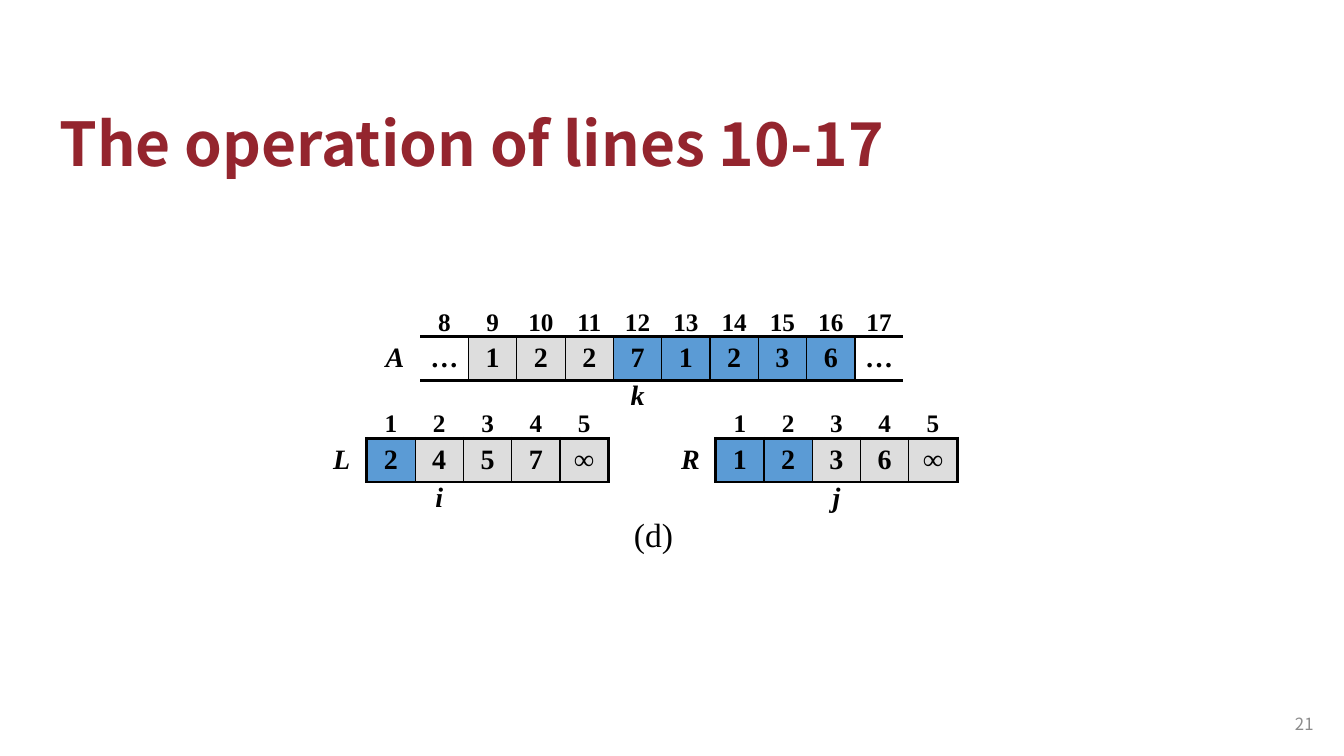
"""Build the slide that shows one merge step on the arrays A, L and R."""
import pptx
import pptx.util
import pptx.dml.color
import pptx.enum.text
import pptx.oxml
import pptx.oxml.ns

Pt = pptx.util.Pt
Align = pptx.enum.text.PP_ALIGN
Anchor = pptx.enum.text.MSO_ANCHOR
Fit = pptx.enum.text.MSO_AUTO_SIZE
SANS, SERIF = "Noto Sans CJK SC", "Times New Roman"
BLUE, GREY = "5B9BD5", "DDDDDD"
THICK, THIN = 2.25, 1
PLAIN = "{2D5ABB26-0587-4C30-8999-92F81FD0307C}"


def tint(code):
    return pptx.dml.color.RGBColor.from_string(code)


def write(frame, text, align, color, form):
    para = frame.paragraphs[0]
    para.alignment = align
    run = para.add_run()
    run.text = text
    for key, value in form.items():
        setattr(run.font, key, value)
    run.font.color.rgb = tint(color)


deck = pptx.Presentation()
deck.slide_width, deck.slide_height = Pt(960), Pt(540)
slide = deck.slides.add_slide(deck.slide_layouts[5])

title = slide.shapes.title
place = {"left": Pt(35.3), "top": Pt(63.4), "width": Pt(607), "height": Pt(68.4)}
for key, value in place.items():
    setattr(title, key, value)
title.text_frame.auto_size = Fit.NONE
title.text_frame.vertical_anchor = Anchor.BOTTOM
title.text_frame.paragraphs[0].line_spacing = 0.9
write(title.text_frame, "The operation of lines 10-17", Align.LEFT, "94252E",
      {"name": SANS, "size": Pt(43.2), "bold": True})

notes = [
    ("21", 902.2, 502.5, 43.2, 28.8, True, Align.RIGHT, "8C8C8C", SANS, 12),
    ("(d)", 445.7, 363.6, 42.5, 36, False, Align.LEFT, "000000", SERIF, 24),
]
for text, left, top, width, height, wrap, align, color, font, size in notes:
    box = slide.shapes.add_textbox(Pt(left), Pt(top), Pt(width), Pt(height))
    box.text_frame.word_wrap = wrap
    box.text_frame.vertical_anchor = Anchor.MIDDLE if wrap else Anchor.TOP
    write(box.text_frame, text, align, color, {"name": font, "size": Pt(size)})

rows = [
    {"size": 18, "anchor": Anchor.BOTTOM, "top": 3.6, "bottom": 0, "height": 28},
    {"size": 20, "anchor": Anchor.MIDDLE, "top": 3.6, "bottom": 3.6, "height": 31.2},
    {"size": 20, "anchor": Anchor.TOP, "top": 0, "bottom": 3.6, "height": 28},
]
LABEL, STEP = 36, 34.5

# name, left, top, first index, values, fills, pointer, pointer column, closed ends
arrays = [
    ("A", 264.2, 212.4, 8, "…12271236…", [None] + [GREY] * 3 + [BLUE] * 5 + [None],
     "k", 5, False),
    ("L", 226, 285.1, 1, "2457∞", [BLUE] + [GREY] * 4, "i", 2, True),
    ("R", 475.2, 285.1, 1, "1236∞", [BLUE] * 2 + [GREY] * 3, "j", 3, True),
]
for name, left, top, first, values, fills, mark, spot, closed in arrays:
    count = len(values)
    frame = slide.shapes.add_table(3, count + 1, Pt(left), Pt(top),
                                   Pt(LABEL + STEP * count),
                                   Pt(sum(row["height"] for row in rows)))
    table = frame.table
    table.first_row = table.horz_banding = False
    table._tbl.tblPr.find(pptx.oxml.ns.qn("a:tableStyleId")).text = PLAIN
    for col in range(count + 1):
        table.columns[col].width = Pt(STEP if col else LABEL)
    texts = [
        [""] + [str(first + n) for n in range(count)],
        [name, *values],
        [mark if col == spot else "" for col in range(count + 1)],
    ]
    end = THICK if closed else 0
    for r, row in enumerate(rows):
        table.rows[r].height = Pt(row["height"])
        for col, text in enumerate(texts[r]):
            cell = table.cell(r, col)
            cell.vertical_anchor = row["anchor"]
            cell.margin_left = cell.margin_right = Pt(7.2)
            cell.margin_top = Pt(row["top"] if text else 0)
            cell.margin_bottom = Pt(row["bottom"] if text else 0)
            edges = {"L": 0, "R": 0, "T": 0, "B": 0}
            if col:
                edges["T"] = THICK if r else 0
                edges["B"] = THICK if r < 2 else 0
            if r == 1:
                edges["L"] = 0 if col == 0 else end if col == 1 else THIN
                edges["R"] = end if col in (0, count) else THIN
            for side, width in edges.items():
                paint = ('<a:solidFill><a:srgbClr val="000000"/></a:solidFill>'
                         if width else "<a:noFill/>")
                cell._tc.get_or_add_tcPr().append(pptx.oxml.parse_xml(
                    f'<a:ln{side} {pptx.oxml.ns.nsdecls("a")} w="{Pt(width)}">'
                    f'{paint}</a:ln{side}>'))
            shade = fills[col - 1] if r == 1 and col else None
            if shade:
                cell.fill.solid()
                cell.fill.fore_color.rgb = tint(shade)
            else:
                cell.fill.background()
            if text:
                write(cell.text_frame, text, Align.CENTER, "000000",
                      {"name": SERIF, "size": Pt(row["size"]), "bold": True,
                       "italic": r == 2 or (r == 1 and col == 0)})

deck.save("out.pptx")
